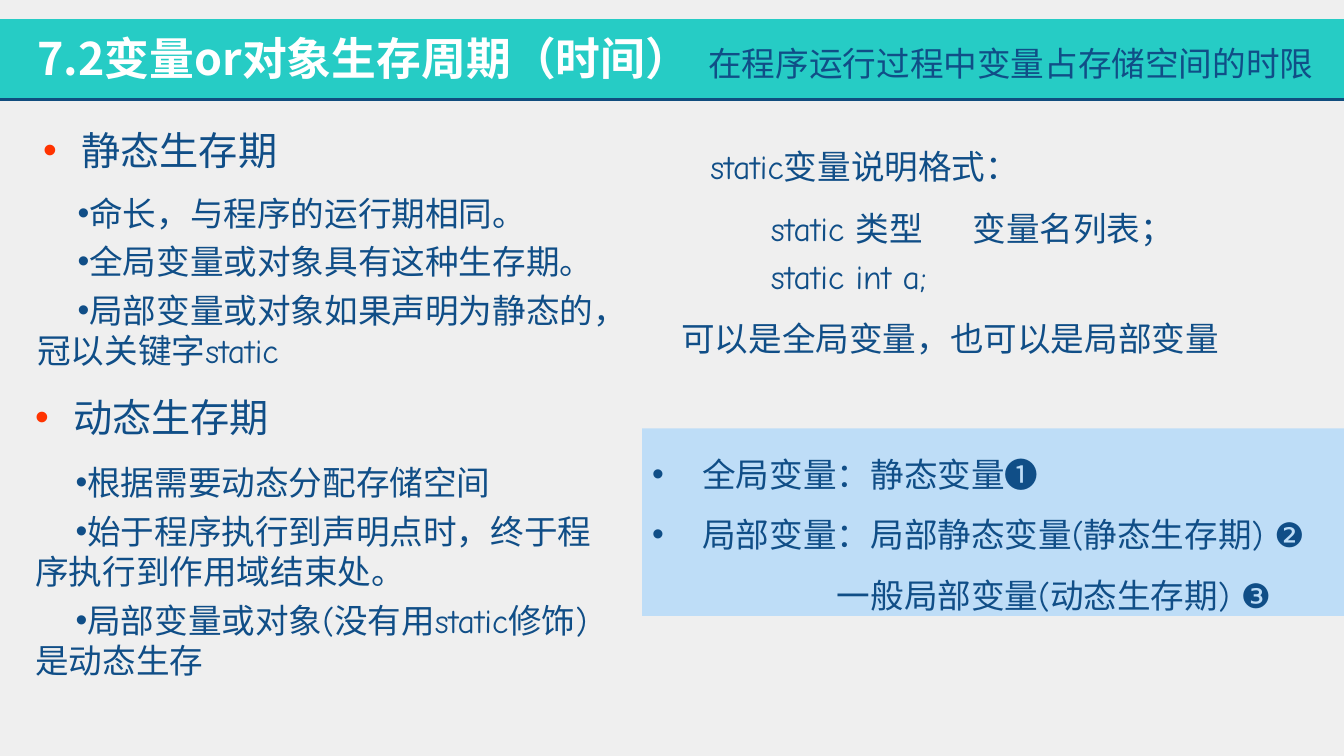
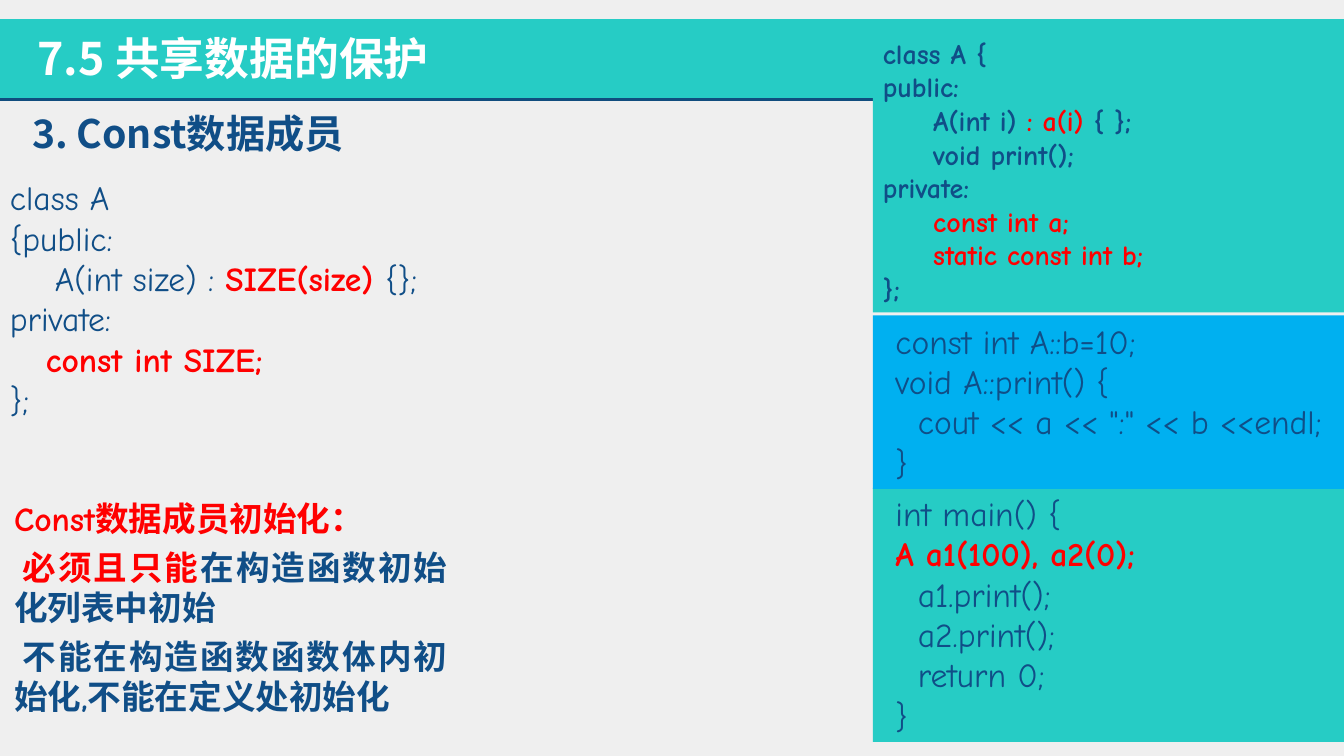
from pptx import Presentation
from pptx.dml.color import RGBColor
from pptx.enum.shapes import MSO_CONNECTOR as CONN, MSO_SHAPE as SHAPE
from pptx.enum.text import MSO_ANCHOR as ANCHOR, MSO_AUTO_SIZE as AUTO, PP_ALIGN as ALIGN
from pptx.oxml import parse_xml
from pptx.oxml.ns import nsdecls, qn
from pptx.oxml.xmlchemy import OxmlElement
from pptx.util import Pt

C = {"bg": "EFEFEF", "band": "26CCC5", "rule": "104D7E", "text": "104E87",
     "white": "FFFFFF", "red": "FF0000", "dot": "FF3300", "pale": "BEDDF7", "blue": "00B0F0"}
COMIC, NOTO = "Comic Neue", "Noto Sans CJK JP"
W, H = 960, 540
PANEL_X, PANEL_W = 623.5, 336.5

LIFETIMES = [
    ("静态生存期", (23.76, 79.92), (19.44, 133.92, 135.36),
     ["命长，与程序的运行期相同。", "全局变量或对象具有这种生存期。",
      "局部变量或对象如果声明为静态的，冠以关键字static"]),
    ("动态生存期", (18, 270.72), (18, 326.16, 164.88),
     ["根据需要动态分配存储空间", "始于程序执行到声明点时，终于程序执行到作用域结束处。",
      "局部变量或对象(没有用static修饰)是动态生存"]),
]
STATIC_NOTES = [
    ("在程序运行过程中变量占存储空间的时限", (498.96, 21.6, 460.8, 41.04), {"spacing": 1.2}),
    ("static变量说明格式：", (500.4, 100.8, 390.96, 36), {}),
    ("static 类型\t变量名列表；", (543.6, 133.2, 372.24, 44.64), {"spacing": 1.4, "tab": 125}),
    ("static int a;", (543.6, 167.76, 145.44, 43.92), {"spacing": 1.4}),
    ("可以是全局变量，也可以是局部变量", (479.52, 211.68, 480, 44.64), {"spacing": 1.4}),
]
SUMMARY = [
    ("全局变量：静态变量❶", {"bullet": "text", "margin": 36, "indent": -36}),
    ("局部变量：局部静态变量(静态生存期) ❷", {"bullet": "text", "margin": 36, "indent": -36}),
    ("一般局部变量(动态生存期) ❸", {"margin": 132}),
]

RED = {"color": "red"}
HOT = {"color": "red", "bold": True}
CLASS_CODE = ["class A", "{public:",
              [("    A(int size) : ", {}), ("SIZE(size) ", HOT), ("{};", {})],
              "private:", [("   const int SIZE;", HOT)], "};"]
CONST_RULES = [
    ([("Const数据成员初始化：", RED)], {}),
    ([("必须且只能", RED), ("在构造函数初始化列表中初始", {})], {"indent": 6}),
    ("不能在构造函数函数体内初始化,不能在定义处初始化", {"indent": 6}),
]
CODE_INDENT = {"margin": 29, "indent": -20}
PANELS = [
    (22.32, 200.88, "band", {"size": 20, "bold": True, "tab": 48},
     ["class A {", "public:",
      [("\tA(int i) ", {}), (": a(i)", RED), (" { };", {})],
      "\tvoid print();", "private:", [("\tconst int a;", RED)],
      [("\tstatic const int b;", RED)], "};"]),
    (348.48, 181.44, "band", CODE_INDENT,
     ["int main() {", [("A a1(100), a2(0);", HOT)], "  a1.print();",
      "  a2.print();", "  return 0;", "}"]),
    (225.36, 123.84, "blue", CODE_INDENT,
     ["const int A::b=10;", "void A::print() {",
      '  cout << a << ":" << b <<endl;', "}"]),
]


def rgb(name):
    return RGBColor.from_string(C[name])


def set_bullet(p, bullet, margin, indent, tab):
    pPr = p._p.get_or_add_pPr()
    pPr.set("marL", str(Pt(margin)))
    pPr.set("indent", str(Pt(indent)))
    if bullet:
        pPr.append(parse_xml(f'<a:buClr {nsdecls("a")}><a:srgbClr val="{C[bullet]}"/></a:buClr>'))
        pPr.append(parse_xml(f'<a:buFont {nsdecls("a")} typeface="Arial"/>'))
        pPr.append(parse_xml(f'<a:buChar {nsdecls("a")} char="•"/>'))
    else:
        pPr.append(OxmlElement("a:buNone"))
    if tab:
        pPr.append(parse_xml(f'<a:tabLst {nsdecls("a")}><a:tab pos="{Pt(tab)}" algn="l"/></a:tabLst>'))


def add_run(p, text, size, font, color, bold):
    r = p.add_run()
    r.text = text
    r.font.size, r.font.name, r.font.bold = Pt(size), font, bold
    r.font.color.rgb = rgb(color)
    ea = OxmlElement("a:ea")
    ea.set("typeface", font)
    r.font._element.find(qn("a:latin")).addnext(ea)


def add_paragraph(p, content, size=24, font=COMIC, color="text", bold=False, bullet=None,
                  margin=0, indent=0, tab=None, spacing=1.0, before=0, align=ALIGN.LEFT):
    set_bullet(p, bullet, margin, indent, tab)
    p.alignment, p.line_spacing, p.space_before = align, spacing, Pt(before)
    runs = [(content, {})] if isinstance(content, str) else content
    for text, change in runs:
        add_run(p, text, **{"size": size, "font": font, "color": color, "bold": bold, **change})


def write(sp, paragraphs, before=0, **fmt):
    tf = sp.text_frame
    tf.word_wrap, tf.auto_size, tf.vertical_anchor = True, AUTO.NONE, ANCHOR.TOP
    for i, item in enumerate(paragraphs):
        content, own = item if isinstance(item, tuple) else (item, {})
        p = tf.add_paragraph() if i else tf.paragraphs[0]
        add_paragraph(p, content, before=before if i else 0, **{**fmt, **own})


def place(sp, x, y, w, h):
    sp.left, sp.top, sp.width, sp.height = Pt(x), Pt(y), Pt(w), Pt(h)
    return sp


def add_box(s, at, paragraphs, **fmt):
    write(s.shapes.add_textbox(*map(Pt, at)), paragraphs, **fmt)


def add_panel(s, at, fill):
    sp = s.shapes.add_shape(SHAPE.RECTANGLE, *map(Pt, at))
    sp.shadow.inherit = False
    sp.fill.solid()
    sp.fill.fore_color.rgb = rgb(fill)
    sp.line.fill.background()
    return sp


def add_title(s, text):
    title = place(s.shapes.title, 19.44, 18, 632.16, 46.08)
    write(title, [text], size=32, font=NOTO, color="white", bold=True)


def style_master(prs, s):
    master = prs.slide_master
    master.background.fill.solid()
    master.background.fill.fore_color.rgb = rgb("bg")
    band = add_panel(s, (0, 13.68, W, 57.6), "band")
    rule = s.shapes.add_connector(CONN.STRAIGHT, 0, Pt(71.28), Pt(W), Pt(71.28))
    rule.line.color.rgb, rule.line.width = rgb("rule"), Pt(2)
    rule._element.spPr.append(OxmlElement("a:effectLst"))
    first = master.shapes[0].element
    for number, sp in enumerate((band, rule), 101):
        sp.element.find(".//" + qn("p:cNvPr")).set("id", str(number))
        first.addprevious(sp.element)


def build_lifetime(s):
    add_title(s, "7.2变量or对象生存周期（时间）")
    bodies = list(s.placeholders)[1:]
    for body, (heading, (hx, hy), (x, y, h), items) in zip(bodies, LIFETIMES):
        add_box(s, (hx, hy, 209.52, 46.08), [heading], size=28, font=NOTO,
                bullet="dot", margin=27.36, indent=-27.36, spacing=1.2)
        write(place(body, x, y, 416.88, h), items, bullet="text", indent=28.8, before=6)
    write(add_panel(s, (458.64, 306, 501.36, 133.92), "pale"), SUMMARY, spacing=1.5)
    for text, at, fmt in STATIC_NOTES:
        add_box(s, at, [text], **fmt)


def build_protection(s):
    add_title(s, "7.5 共享数据的保护")
    add_box(s, (15.84, 74.88, 453.6, 41.04), ["3. Const数据成员"], size=28, font=NOTO, bold=True)
    add_box(s, (0, 123.12, 336.24, 181.44), CLASS_CODE)
    write(place(s.placeholders[1], 2.88, 352.08, 324, 164.88), CONST_RULES,
          bold=True, before=6, align=ALIGN.JUSTIFY)
    for y, h, fill, fmt, code in PANELS:
        write(add_panel(s, (PANEL_X, y, PANEL_W, h), fill), code, **fmt)


def main():
    prs = Presentation()
    prs.slide_width, prs.slide_height = Pt(W), Pt(H)
    lifetime = prs.slides.add_slide(prs.slide_layouts[3])
    style_master(prs, lifetime)
    build_lifetime(lifetime)
    build_protection(prs.slides.add_slide(prs.slide_layouts[1]))
    prs.save("out.pptx")


if __name__ == "__main__":
    main()
